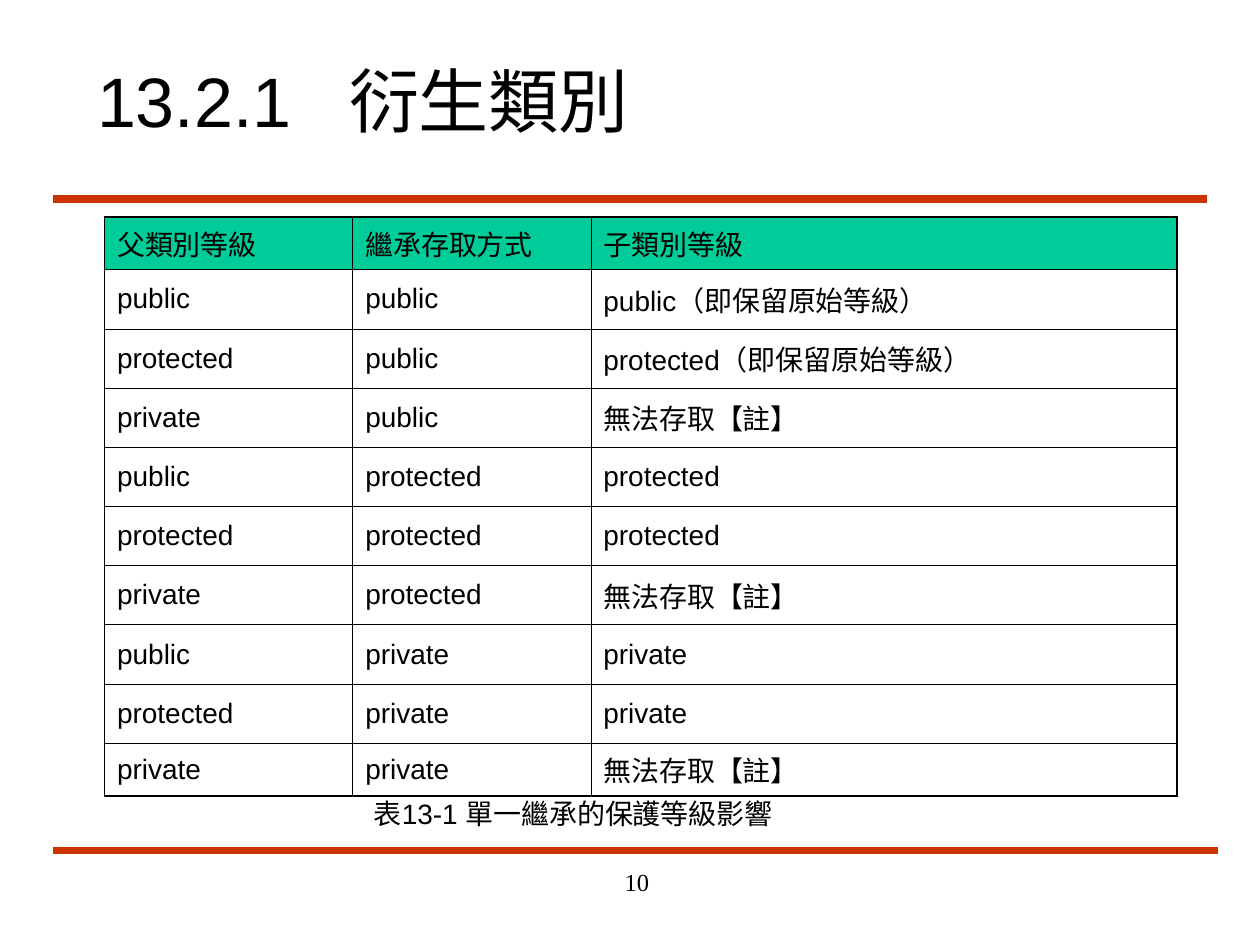
import pptx
import pptx.util
import pptx.dml.color
import pptx.enum.text
import pptx.enum.shapes
import pptx.oxml
import pptx.oxml.xmlchemy

Inches = pptx.util.Inches
Pt = pptx.util.Pt
RGB = pptx.dml.color.RGBColor
Align = pptx.enum.text.PP_ALIGN
Anchor = pptx.enum.text.MSO_ANCHOR
Fit = pptx.enum.text.MSO_AUTO_SIZE
Node = pptx.oxml.xmlchemy.OxmlElement

theme = {
    "ink": RGB(0, 0, 0),
    "rule": RGB(0xCC, 0x33, 0x00),
    "head": RGB(0x00, 0xCC, 0x99),
    "sans": "Arial",
    "serif": "Times New Roman",
    "title": 40,
    "body": 16,
    "page": 14,
    "thick": 1.08,
    "thin": 0.45,
}


def write(frame, text, size, font, align=Align.LEFT):
    para = frame.paragraphs[0]
    para.alignment = align
    run = para.add_run()
    run.text = text
    run.font.size = Pt(size)
    run.font.name = font
    run.font.color.rgb = theme["ink"]
    return para


def edge(cell, side, width):
    props = cell._tc.get_or_add_tcPr()
    line = pptx.oxml.parse_xml(
        f'<a:ln{side} xmlns:a="http://schemas.openxmlformats.org/drawingml/2006/main" '
        f'w="{int(Pt(width))}"><a:solidFill><a:srgbClr val="{theme["ink"]}"/>'
        f"</a:solidFill></a:ln{side}>"
    )
    props.append(line)


deck = pptx.Presentation()
deck.slide_width = Inches(10)
deck.slide_height = Inches(7.5)
slide = deck.slides.add_slide(deck.slide_layouts[5])
shapes = slide.shapes

for right, y in [(9.58, 1.58), (9.67, 6.75)]:
    rule = shapes.add_connector(
        pptx.enum.shapes.MSO_CONNECTOR.STRAIGHT,
        Inches(0.42), Inches(y), Inches(right), Inches(y),
    )
    rule.line.color.rgb = theme["rule"]
    rule.line.width = Pt(4.5)
    rule._element.spPr.append(Node("a:effectLst"))

title = shapes.title
title.left, title.top = Inches(0.67), Inches(0.33)
title.width, title.height = Inches(8.58), Inches(0.92)
title.text_frame.auto_size = Fit.NONE
title.text_frame.vertical_anchor = Anchor.MIDDLE
para = write(title.text_frame, "13.2.1\t衍生類別", theme["title"], theme["sans"])
tabs = Node("a:tabLst")
for step in range(8):
    stop = Node("a:tab")
    stop.set("pos", str(int(Inches(step))))
    stop.set("algn", "l")
    tabs.append(stop)
para._p.get_or_add_pPr().append(tabs)

rows = [
    ("父類別等級", "繼承存取方式", "子類別等級"),
    ("public", "public", "public（即保留原始等級）"),
    ("protected", "public", "protected（即保留原始等級）"),
    ("private", "public", "無法存取【註】"),
    ("public", "protected", "protected"),
    ("protected", "protected", "protected"),
    ("private", "protected", "無法存取【註】"),
    ("public", "private", "private"),
    ("protected", "private", "private"),
    ("private", "private", "無法存取【註】"),
]
widths = [1.97, 1.89, 4.65]
last = len(rows) - 1
end = len(widths) - 1
heights = [0.42 if r in (0, last) else 0.47 for r in range(len(rows))]

table = shapes.add_table(
    len(rows), len(widths), Inches(0.83), Inches(1.72),
    Inches(sum(widths)), Inches(sum(heights)),
).table
table.first_row = False
table.horz_banding = False
for col, width in zip(table.columns, widths):
    col.width = Inches(width)
for row, height in zip(table.rows, heights):
    row.height = Inches(height)

for r, row in enumerate(rows):
    for c, text in enumerate(row):
        cell = table.cell(r, c)
        cell.vertical_anchor = Anchor.MIDDLE
        write(cell.text_frame, text, theme["body"], theme["sans"])
        outer = {"L": c == 0, "R": c == end, "T": r == 0, "B": r == last}
        for side, thick in outer.items():
            edge(cell, side, theme["thick" if thick else "thin"])
        if r == 0:
            cell.fill.solid()
            cell.fill.fore_color.rgb = theme["head"]
        else:
            cell.fill.background()

notes = [
    ("表13-1 單一繼承的保護等級影響", (2.87, 6.27, 5, 0.37), "body", "sans", Align.LEFT),
    ("10", (3.17, 6.83, 2.08, 0.5), "page", "serif", Align.RIGHT),
]
for text, place, size, font, align in notes:
    box = shapes.add_textbox(*[Inches(n) for n in place])
    box.text_frame.word_wrap = True
    write(box.text_frame, text, theme[size], theme[font], align)

deck.save("out.pptx")
